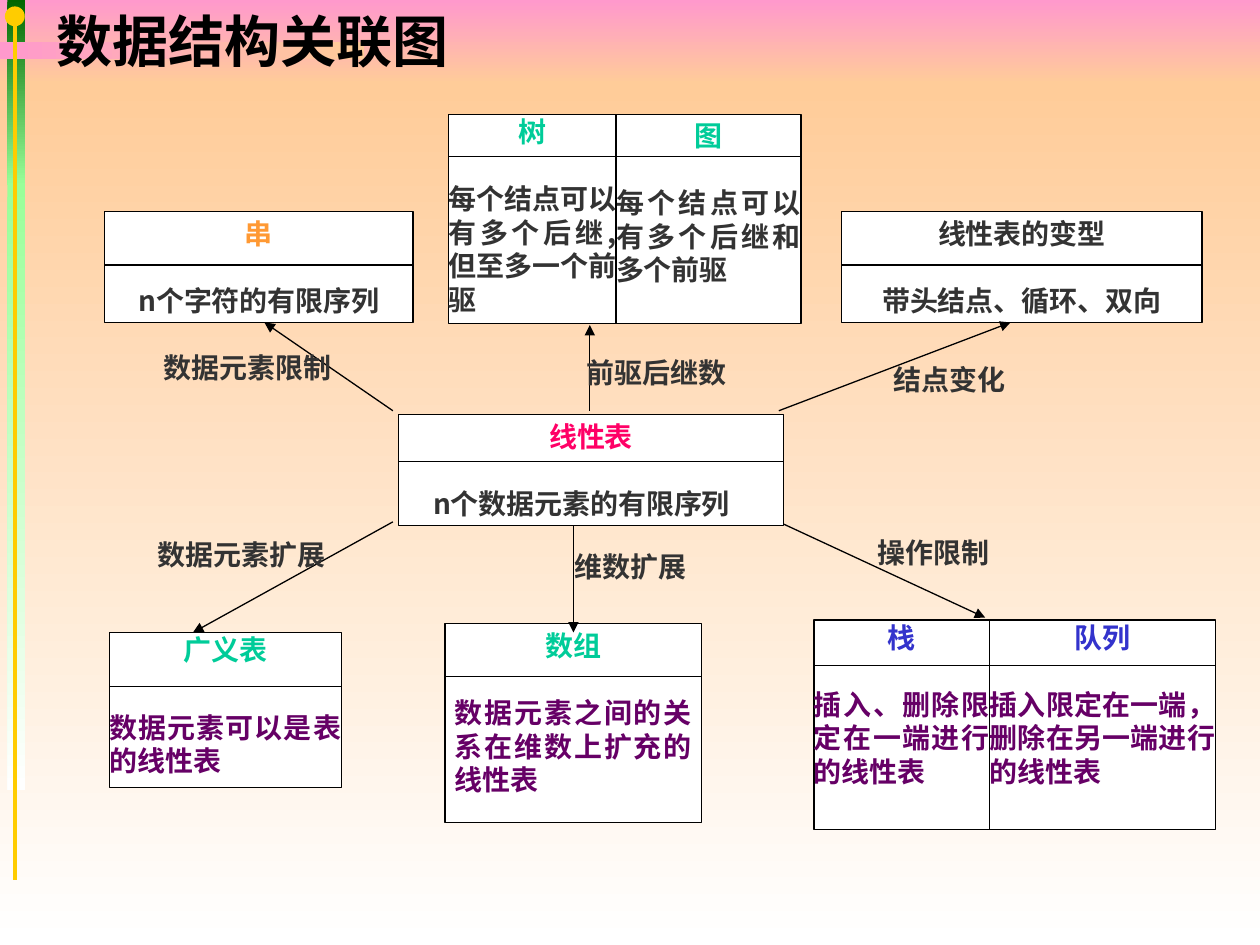
import pptx
import pptx.dml.color
import pptx.enum.shapes
import pptx.enum.text
import pptx.oxml
import pptx.oxml.ns
import pptx.util

Cm = pptx.util.Cm
Pt = pptx.util.Pt
RGBColor = pptx.dml.color.RGBColor
SHAPE = pptx.enum.shapes.MSO_SHAPE
ALIGN = pptx.enum.text.PP_ALIGN
ANCHOR = pptx.enum.text.MSO_ANCHOR

BLACK = RGBColor(0x00, 0x00, 0x00)
WHITE = RGBColor(0xFF, 0xFF, 0xFF)
GRAY = RGBColor(0x33, 0x33, 0x33)
PINK = RGBColor(0xFF, 0x99, 0xCC)
PEACH = RGBColor(0xFF, 0xCC, 0x99)
DARK_GREEN = RGBColor(0x00, 0x66, 0x00)
LIGHT_GREEN = RGBColor(0x99, 0xFF, 0x99)
GOLD = RGBColor(0xFF, 0xCC, 0x00)
ORANGE = RGBColor(0xFF, 0x99, 0x33)
TEAL = RGBColor(0x00, 0xCC, 0x99)
BLUE = RGBColor(0x33, 0x33, 0xCC)
RED = RGBColor(0xFF, 0x00, 0x66)
PURPLE = RGBColor(0x66, 0x00, 0x66)

CJK_FONT = "Noto Sans CJK SC"
LINE_HEIGHT = 19.2  # points, one line of 16 pt text
DOWN, RIGHT = 270, 0


def write(para, text, size=16, font=CJK_FONT, color=GRAY, align=ALIGN.JUSTIFY,
          line=Pt(LINE_HEIGHT), after=0, indent=0):
    para.alignment = align
    para.line_spacing = line
    para.space_before = Pt(0)
    para.space_after = Pt(after)
    if indent:
        para._p.get_or_add_pPr().set("marL", str(Cm(indent)))
    span = para.add_run()
    span.text = text
    span.font.size = Pt(size)
    span.font.bold = True
    span.font.name = font
    span.font.color.rgb = color
    east_asian = pptx.oxml.parse_xml(
        f'<a:ea {pptx.oxml.ns.nsdecls("a")} typeface="{CJK_FONT}"/>')
    span.font._element.find(pptx.oxml.ns.qn("a:latin")).addnext(east_asian)


def set_frame(frame, side, top, anchor=ANCHOR.TOP):
    frame.word_wrap = True
    frame.auto_size = pptx.enum.text.MSO_AUTO_SIZE.NONE
    frame.vertical_anchor = anchor
    frame.margin_left = frame.margin_right = Cm(side)
    frame.margin_top = frame.margin_bottom = Cm(top)


def draw_line(page, start, end, color=BLACK, width=0.75, arrow=False):
    line = page.shapes.add_connector(
        pptx.enum.shapes.MSO_CONNECTOR.STRAIGHT, *map(Cm, start + end))
    line.line.color.rgb = color
    line.line.width = Pt(width)
    namespace = pptx.oxml.ns.nsdecls("a")
    if arrow:
        line.get_or_add_ln().append(
            pptx.oxml.parse_xml(f'<a:tailEnd {namespace} type="triangle"/>'))
    line._element.spPr.append(pptx.oxml.parse_xml(f"<a:effectLst {namespace}/>"))


def draw_shape(page, box, kind=SHAPE.RECTANGLE, fill=WHITE, outline=None):
    shape = page.shapes.add_shape(kind, *map(Cm, box))
    shape.shadow.inherit = False
    shape.fill.solid()
    shape.fill.fore_color.rgb = fill
    if outline is None:
        shape.line.fill.background()
    else:
        shape.line.color.rgb = outline
        shape.line.width = Pt(0.75)
    return shape


def draw_background(page, width, height):
    band = 1.7
    bands = [
        ((0, 0, width, band), PINK, PEACH, DOWN),
        ((0, band, width, height - band), PEACH, WHITE, DOWN),
        ((0.15, 0, 0.36, 3.73), DARK_GREEN, LIGHT_GREEN, DOWN),
        ((0.15, 3.73, 0.36, 12.2), LIGHT_GREEN, WHITE, DOWN),
        ((0, 0.84, 7.34, 0.36), PINK, PEACH, RIGHT),
    ]
    for box, first, last, angle in bands:
        fill = draw_shape(page, box).fill
        fill.gradient()
        fill.gradient_angle = angle
        for stop, color in zip(fill.gradient_stops, (first, last)):
            stop.color.rgb = color
    # Gold pin along the left edge
    draw_line(page, (0.3, 17.73), (0.3, 0.33), GOLD, 2)
    draw_shape(page, (0.1, 0.13, 0.4, 0.4), SHAPE.OVAL, GOLD)


def place_title(page, box, text):
    title = page.shapes.title
    title.left, title.top, title.width, title.height = map(Cm, box)
    set_frame(title.text_frame, 0.25, 0.13, ANCHOR.MIDDLE)
    write(title.text_frame.paragraphs[0], text, size=32, font="Arial",
          color=BLACK, align=ALIGN.LEFT, line=1.0)
    # Bring the title in front of the background bands
    title.element.getparent().append(title.element)


def draw_card(page, box, rule, heading, heading_color, body, body_color=GRAY,
              align=ALIGN.JUSTIFY, padding=(0.2, 0.1), gap=LINE_HEIGHT,
              indent=0):
    left, top, width, _ = box
    frame = draw_shape(page, box, outline=BLACK).text_frame
    set_frame(frame, *padding)
    write(frame.paragraphs[0], heading, color=heading_color,
          align=ALIGN.CENTER, after=gap)
    write(frame.add_paragraph(), body, color=body_color, align=align,
          indent=indent)
    draw_line(page, (left, top + rule), (left + width, top + rule))


def draw_label(page, box, text, align=ALIGN.LEFT):
    label = page.shapes.add_textbox(*map(Cm, box))
    set_frame(label.text_frame, 0.2, 0.1)
    write(label.text_frame.paragraphs[0], text, align=align)


def draw_cards(page):
    tight = (0, 0)
    # Upper row
    draw_card(page, (2.11, 4.27, 6.22, 2.24), 1.07, "串", ORANGE,
              "n个字符的有限序列", align=ALIGN.CENTER)
    draw_card(page, (9.04, 2.31, 3.38, 4.22), 0.84, "树", TEAL,
              "每个结点可以有多个后继,但至多一个前驱", padding=tight)
    draw_card(page, (12.42, 2.31, 3.73, 4.22), 0.84, "图", TEAL,
              "每个结点可以有多个后继和多个前驱", padding=(0, 0.08))
    draw_card(page, (16.97, 4.27, 7.26, 2.24), 1.07, "线性表的变型", GRAY,
              "带头结点、循环、双向", align=ALIGN.CENTER)
    # Lower row
    draw_card(page, (2.21, 12.75, 4.67, 3.12), 1.09, "广义表", TEAL,
              "数据元素可以是表的线性表", PURPLE, padding=tight,
              gap=LINE_HEIGHT + 6)
    draw_card(page, (8.97, 12.57, 5.18, 4.01), 1.07, "数组", TEAL,
              "数据元素之间的关系在维数上扩充的线性表", PURPLE)
    draw_card(page, (16.41, 12.5, 3.54, 4.22), 0.91, "栈", BLUE,
              "插入、删除限定在一端进行的线性表", PURPLE, padding=tight)
    draw_card(page, (19.95, 12.5, 4.55, 4.22), 0.91, "队列", BLUE,
              "插入限定在一端，删除在另一端进行的线性表", PURPLE, padding=tight)


def draw_relations(page):
    upper, lower = 8.28, 10.52
    relations = [
        ((7.92, upper), (5.33, 6.5), (2.21, 6.96, 4.67, 1), "数据元素限制", ALIGN.RIGHT),
        ((11.89, upper), (11.89, 6.55), (11.63, 7.06, 3.63, 1), "前驱后继数", ALIGN.LEFT),
        ((15.7, upper), (20.37, 6.5), (17.81, 7.21, 3.63, 1), "结点变化", ALIGN.LEFT),
        ((7.92, lower), (3.89, 12.75), (2.31, 10.74, 4.45, 1), "数据元素扩展", ALIGN.RIGHT),
        ((11.56, lower), (11.56, 12.75), (11.38, 10.97, 3.28, 1), "维数扩展", ALIGN.LEFT),
        ((15.7, lower), (19.86, 12.45), (17.5, 10.69, 3.63, 1), "操作限制", ALIGN.LEFT),
    ]
    for start, end, label_box, text, align in relations:
        draw_line(page, start, end, arrow=True)
        draw_label(page, label_box, text, align)


def main():
    deck = pptx.Presentation()
    deck.slide_width, deck.slide_height = Cm(25.4), Cm(19.05)
    page = deck.slides.add_slide(deck.slide_layouts[5])
    draw_background(page, 25.4, 19.05)
    place_title(page, (0.89, 0, 22.2, 1.6), "数据结构关联图")
    draw_cards(page)
    draw_relations(page)
    # Central card, in front of the arrow starts
    draw_card(page, (8.03, 8.36, 7.77, 2.24), 0.94, "线性表", RED,
              "n个数据元素的有限序列", indent=0.5)
    deck.save("out.pptx")


if __name__ == "__main__":
    main()
